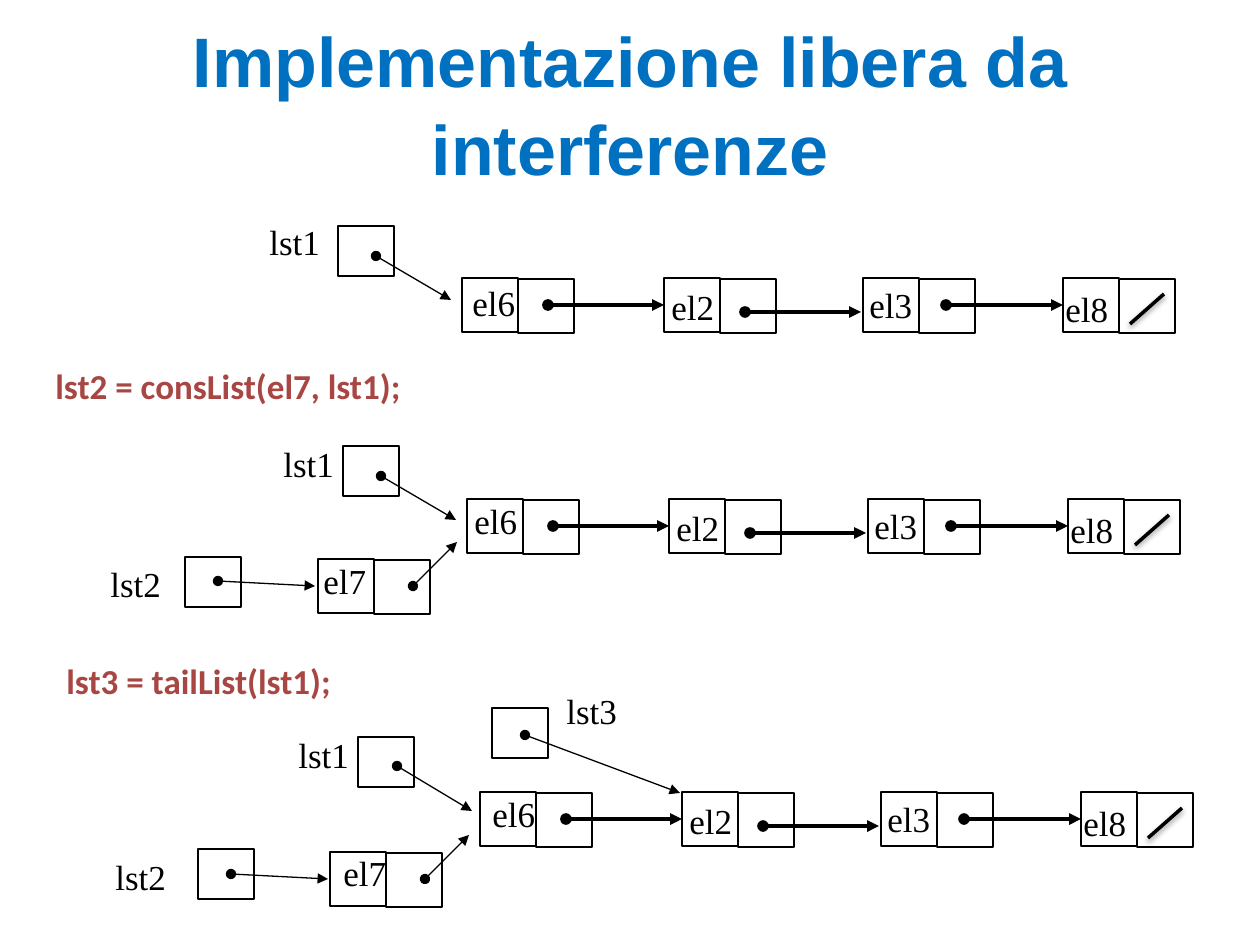
from dataclasses import dataclass

from lxml import etree
from pptx import Presentation
from pptx.dml.color import RGBColor
from pptx.enum import shapes, text
from pptx.oxml import ns
from pptx.util import Emu, Pt

SCALE = 914400 / 126
BLACK = RGBColor(0x00, 0x00, 0x00)
BLUE = RGBColor(0x00, 0x70, 0xC0)
RED = RGBColor(0xA8, 0x46, 0x43)

CELL_W, CELL_H, POINTER_H = 56, 54, 50
TEXT_H = 55
SERIF = "Times New Roman"


@dataclass(frozen=True)
class Point:
    x: int
    y: int

    def shift(self, dx: int, dy: int) -> "Point":
        return Point(self.x + dx, self.y + dy)


@dataclass(frozen=True)
class Pointer:
    name: str
    label: Point
    box: Point
    dot: Point
    tip: Point


@dataclass(frozen=True)
class Chain:
    origin: Point
    first_label: Point


@dataclass(frozen=True)
class Prefix:
    origin: Point
    label: Point


@dataclass(frozen=True)
class Caption:
    words: str
    at: Point
    width: int


@dataclass(frozen=True)
class Node:
    name: str
    dx: int
    label_dx: int
    label_dy: int


@dataclass(frozen=True)
class Link:
    dx: int
    dy: int
    target: int
    joined: bool


NODES = [Node("el2", 202, 197, 1), Node("el3", 401, 395, -1), Node("el8", 601, 591, 3)]
LINKS = [Link(86, 27, 0, True), Link(283, 34, 1, False), Link(484, 27, 2, True)]
CHAINS = [
    Chain(Point(462, 278), Point(460, 275)),
    Chain(Point(467, 499), Point(462, 493)),
    Chain(Point(480, 792), Point(480, 786)),
]
PREFIXES = [
    Prefix(Point(318, 559), Point(311, 553)),
    Prefix(Point(330, 852), Point(331, 845)),
]
POINTERS = [
    Pointer("lst1", Point(257, 214), Point(338, 226), Point(376, 256), Point(451, 300)),
    Pointer("lst1", Point(271, 436), Point(343, 446), Point(381, 476), Point(456, 520)),
    Pointer("lst1", Point(286, 727), Point(358, 737), Point(397, 766), Point(472, 811)),
    Pointer("lst2", Point(98, 556), Point(185, 557), Point(218, 581), Point(315, 586)),
    Pointer("lst2", Point(103, 849), Point(198, 849), Point(231, 874), Point(328, 879)),
    Pointer("lst3", Point(554, 683), Point(492, 708), Point(525, 735), Point(680, 793)),
]
CAPTIONS = [
    Caption("lst2 = consList(el7, lst1);", Point(43, 358), 373),
    Caption("lst3 = tailList(lst1);", Point(54, 653), 292),
]


def px(n: int) -> Emu:
    return Emu(round(n * SCALE))


def add_text(s, words: str, at: Point, width: int, face: str = SERIF,
             color: RGBColor = BLACK, bold: bool = False) -> None:
    tf = s.shapes.add_textbox(px(at.x), px(at.y), px(width), px(TEXT_H)).text_frame
    tf.word_wrap = False
    tf.auto_size = text.MSO_AUTO_SIZE.SHAPE_TO_FIT_TEXT
    p = tf.paragraphs[0]
    p.text = words
    p.font.name, p.font.size, p.font.bold = face, Pt(20), bold
    p.font.color.rgb = color


def add_box(s, at: Point, height: int = CELL_H):
    sp = s.shapes.add_shape(shapes.MSO_SHAPE.RECTANGLE, px(at.x), px(at.y),
                            px(CELL_W), px(height))
    sp.shadow.inherit = False
    sp.fill.background()
    sp.line.color.rgb = BLACK
    sp.line.width = Pt(0.75)
    return sp


def add_line(s, start: Point, end: Point, weight: float):
    cxn = s.shapes.add_connector(shapes.MSO_CONNECTOR.STRAIGHT, px(start.x),
                                 px(start.y), px(end.x), px(end.y))
    cxn.line.color.rgb = BLACK
    cxn.line.width = Pt(weight)
    etree.SubElement(cxn._element.spPr, ns.qn("a:effectLst"))
    return cxn


def add_arrow(s, start: Point, end: Point, weight: float = 0.75):
    cxn = add_line(s, start, end, weight)
    ln = cxn.line._get_or_add_ln()
    etree.SubElement(ln, ns.qn("a:headEnd"), type="oval")
    etree.SubElement(ln, ns.qn("a:tailEnd"), type="triangle")
    return cxn


def add_slash(s, origin: Point) -> None:
    cxn = add_line(s, origin.shift(668, 46), origin.shift(702, 16), 2)
    effects = cxn._element.spPr.find(ns.qn("a:effectLst"))
    shadow = etree.SubElement(effects, ns.qn("a:outerShdw"), blurRad="40000",
                              dist="20000", dir="5400000", rotWithShape="0")
    color = etree.SubElement(shadow, ns.qn("a:srgbClr"), val=str(BLACK))
    etree.SubElement(color, ns.qn("a:alpha"), val="38000")


def add_node(s, name: str, at: Point, label: Point):
    left = add_box(s, at)
    add_box(s, at.shift(CELL_W, 1))
    add_text(s, name, label, 68)
    return left


def add_chain(s, chain: Chain) -> None:
    o = chain.origin
    add_node(s, "el6", o, chain.first_label)
    cells = [add_node(s, n.name, o.shift(n.dx, 0), o.shift(n.label_dx, n.label_dy))
             for n in NODES]
    for link in LINKS:
        end = o.shift(NODES[link.target].dx - 2, link.dy)
        cxn = add_arrow(s, o.shift(link.dx, link.dy), end, 2.25)
        if link.joined:
            cxn.end_connect(cells[link.target], 1)
    add_slash(s, o)


def add_prefix(s, prefix: Prefix) -> None:
    o = prefix.origin
    add_node(s, "el7", o, prefix.label)
    add_arrow(s, o.shift(95, 27), o.shift(139, -17))


def add_pointer(s, pointer: Pointer) -> None:
    add_box(s, pointer.box, POINTER_H)
    add_text(s, pointer.name, pointer.label, 77)
    add_arrow(s, pointer.dot, pointer.tip)


def add_title(s, words: str) -> None:
    sp = s.shapes.title
    sp.left, sp.top, sp.width, sp.height = px(0), px(23), px(1260), px(157)
    tf = sp.text_frame
    tf.vertical_anchor = text.MSO_ANCHOR.MIDDLE
    p = tf.paragraphs[0]
    p.text = words
    p.alignment = text.PP_ALIGN.CENTER
    p.line_spacing = 1.05
    p.font.name, p.font.size, p.font.bold = "Arial", Pt(40), True
    p.font.color.rgb = BLUE


def main() -> None:
    prs = Presentation()
    prs.slide_width, prs.slide_height = px(1260), px(945)
    s = prs.slides.add_slide(prs.slide_layouts[5])
    add_title(s, "Implementazione libera da interferenze")
    for chain in CHAINS:
        add_chain(s, chain)
    for prefix in PREFIXES:
        add_prefix(s, prefix)
    for pointer in POINTERS:
        add_pointer(s, pointer)
    for c in CAPTIONS:
        add_text(s, c.words, c.at, c.width, "Calibri", RED, True)
    prs.save("out.pptx")


if __name__ == "__main__":
    main()
